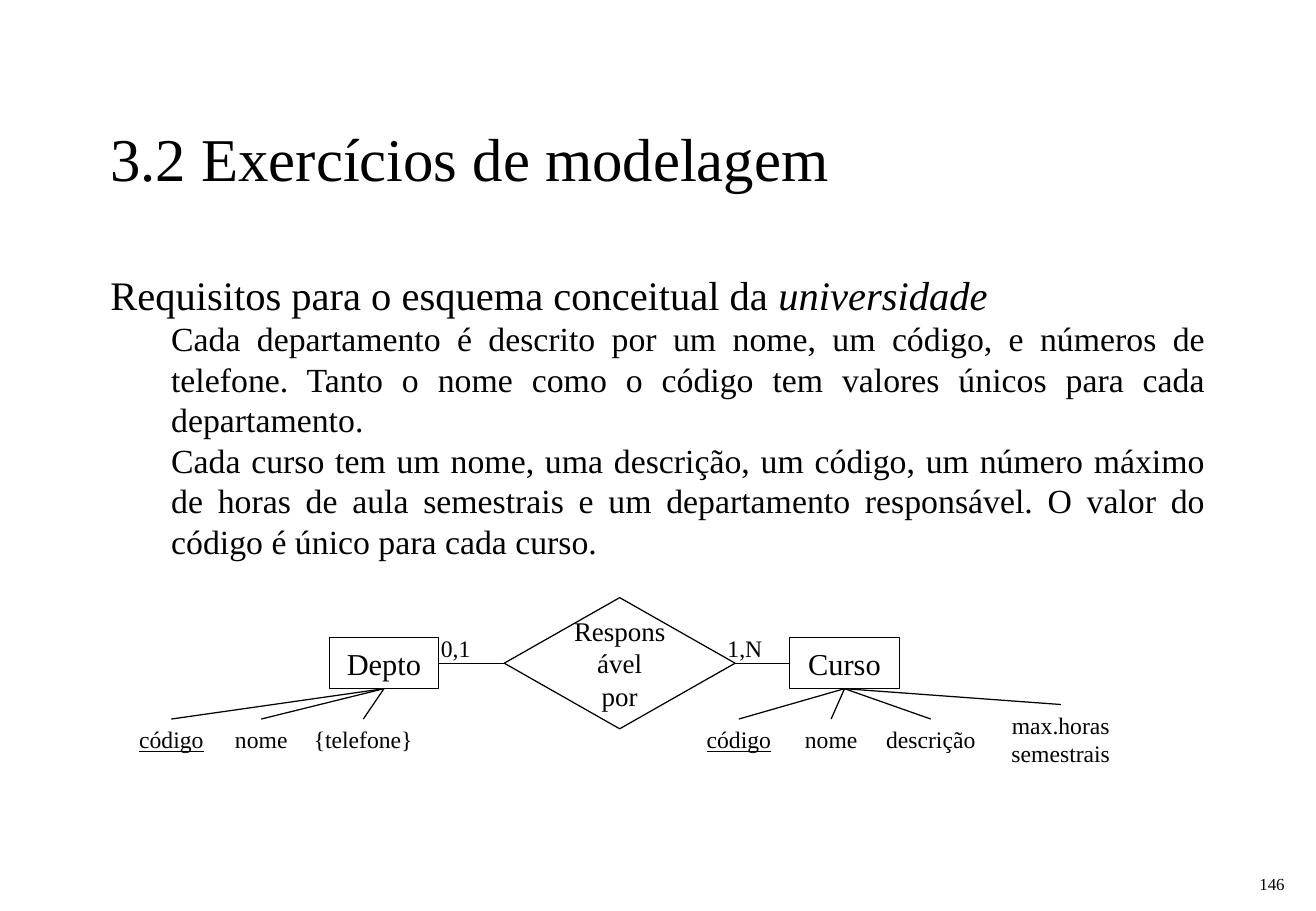
from dataclasses import dataclass

from lxml import etree
from pptx import Presentation
from pptx import util as u
from pptx.dml.color import RGBColor
from pptx.enum import shapes, text
from pptx.oxml.ns import qn

AL, MID = text.PP_ALIGN, text.MSO_ANCHOR.MIDDLE
KIND = shapes.MSO_SHAPE


@dataclass
class Theme:
    face: str = "Times New Roman"
    ink: RGBColor = RGBColor(0, 0, 0)
    paper: RGBColor = RGBColor(255, 255, 255)
    rule: float = 0.75
    title: int = 36
    lead: int = 24
    body: int = 20
    node: int = 18
    link: int = 16
    label: int = 14
    page: int = 10


class Board:
    def __init__(self, slide, theme):
        self.slide, self.theme = slide, theme

    def fill(self, frame, lines, size, align, anchor, wrap=True, **style):
        """Put one paragraph per line into a text frame."""
        frame.word_wrap, frame.vertical_anchor = wrap, anchor
        for i, line in enumerate(lines):
            para = frame.paragraphs[0] if i == 0 else frame.add_paragraph()
            para.alignment = align
            self.run(para, line, size, **style)

    def run(self, para, words, size, **style):
        run = para.add_run()
        run.text = words
        look = {"name": self.theme.face, "size": u.Pt(size), **style}
        for key, value in look.items():
            setattr(run.font, key, value)
        run.font.color.rgb = self.theme.ink

    def text(self, at, lines, size, align=AL.LEFT, anchor=MID, **style):
        box = self.slide.shapes.add_textbox(*map(u.Inches, at))
        self.fill(box.text_frame, lines, size, align, anchor, **style)
        return box.text_frame

    def label(self, mid, top, width, lines, tall=0.33, **style):
        at = (mid - width / 2, top, width, tall)
        frame = self.text(at, lines, self.theme.label, AL.CENTER, wrap=False, **style)
        frame.auto_size = text.MSO_AUTO_SIZE.SHAPE_TO_FIT_TEXT

    def node(self, kind, at, lines, size):
        shape = self.slide.shapes.add_shape(kind, *map(u.Inches, at))
        shape.shadow.inherit = False
        shape.fill.solid()
        shape.fill.fore_color.rgb = self.theme.paper
        self.pen(shape)
        self.fill(shape.text_frame, lines, size, AL.CENTER, MID)

    def line(self, *ends):
        wire = self.slide.shapes.add_connector(
            shapes.MSO_CONNECTOR.STRAIGHT, *map(u.Inches, ends))
        self.pen(wire)
        etree.SubElement(wire._element.spPr, qn("a:effectLst"))

    def pen(self, shape):
        shape.line.color.rgb = self.theme.ink
        shape.line.width = u.Pt(self.theme.rule)


def main():
    deck = Presentation()
    deck.slide_width, deck.slide_height = u.Inches(10.83), u.Inches(7.5)
    theme = Theme()
    board = Board(deck.slides.add_slide(deck.slide_layouts[6]), theme)

    # Page number and title
    board.text((10.24, 7.01, 0.43, 0.4), ["146"], theme.page, AL.RIGHT,
               text.MSO_ANCHOR.BOTTOM)
    board.text((0.81, 0.67, 9.21, 1.25), ["3.2 Exercícios de modelagem"], theme.title)

    # Requirements
    frame = board.text((0.81, 2.17, 9.21, 4.5),
                       ["Requisitos para o esquema conceitual da "],
                       theme.lead, AL.JUSTIFY, text.MSO_ANCHOR.TOP)
    board.run(frame.paragraphs[0], "universidade", theme.lead, italic=True)
    needs = [
        "Cada departamento é descrito por um nome, um código, e números de telefone. "
        "Tanto o nome como o código tem valores únicos para cada departamento.",
        "Cada curso tem um nome, uma descrição, um código, um número máximo de horas "
        "de aula semestrais e um departamento responsável. O valor do código é único "
        "para cada curso.",
    ]
    for need in needs:
        para = frame.add_paragraph()
        para.level, para.alignment = 1, AL.JUSTIFY
        props = para._p.get_or_add_pPr()
        props.set("marL", str(u.Inches(0.5)))
        props.set("indent", "0")
        board.run(para, need, theme.body)

    # Entities with their attributes: middle, top, width, lines
    top, tall, wide, row = 5.25, 0.42, 0.9, 5.92
    units = [
        ("Depto", 2.71, [(1.41, row, 0.79, ["código"]), (2.15, row, 0.69, ["nome"]),
                         (2.99, row, 1.1, ["{telefone}"])]),
        ("Curso", 6.5, [(6.08, row, 0.79, ["código"]), (6.84, row, 0.69, ["nome"]),
                        (7.66, row, 1.02, ["descrição"]),
                        (8.73, 5.8, 1.1, ["max.horas", "semestrais"])]),
    ]
    for name, left, traits in units:
        board.node(KIND.FLOWCHART_PROCESS, (left, top, wide, tall), [name], theme.node)
        for mid, high, width, lines in traits:
            board.label(mid, high, width, lines, 0.33 if len(lines) == 1 else 0.57,
                        underline=lines == ["código"])
            board.line(mid, high, left + wide / 2, top + tall)

    # Relationship and cardinalities
    board.node(KIND.FLOWCHART_DECISION, (4.15, 4.92, 1.9, 1.08),
               ["Responsável", "por"], theme.link)
    for start, end, mid, width, count in [(3.61, 4.15, 3.75, 0.45, "0,1"),
                                          (6.05, 6.5, 6.13, 0.49, "1,N")]:
        board.line(start, top + tall / 2, end, top + tall / 2)
        board.label(mid, 5.17, width, [count])

    deck.save("out.pptx")


if __name__ == "__main__":
    main()
